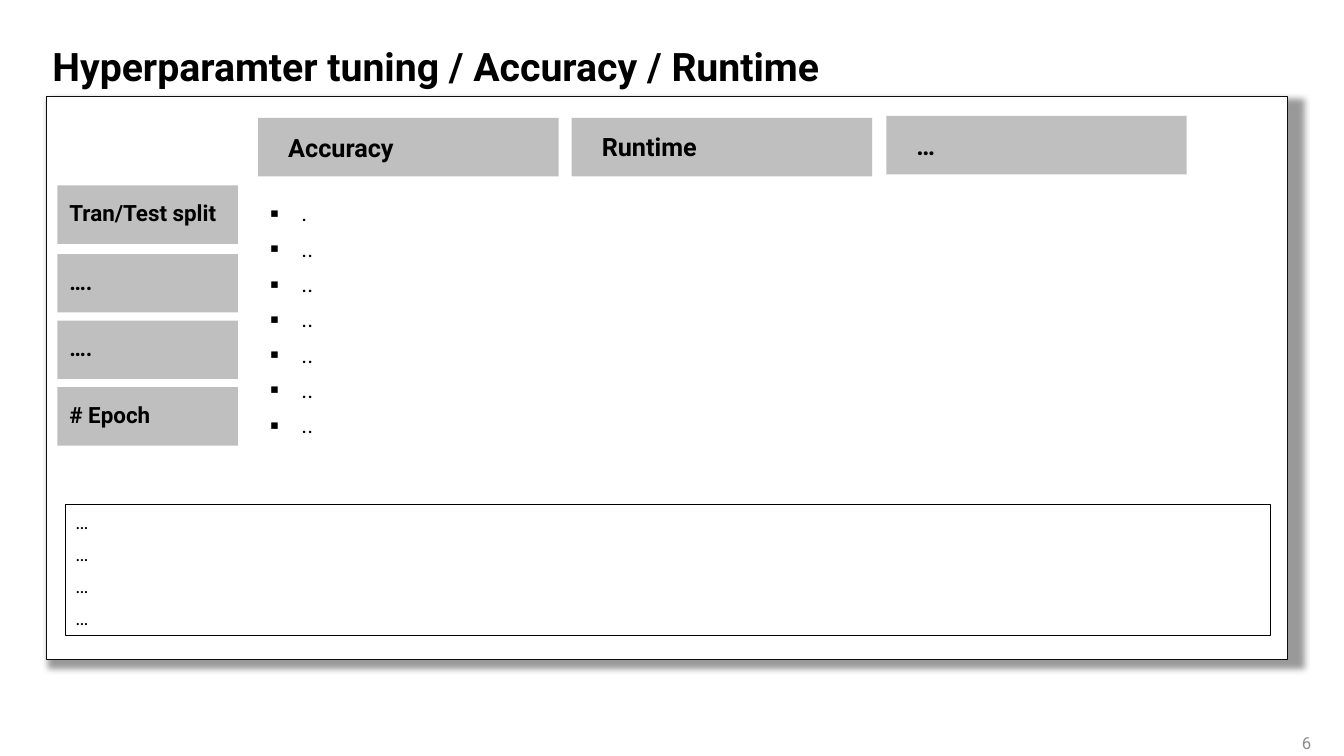
from dataclasses import dataclass

from lxml.etree import SubElement
from pptx import Presentation
from pptx.dml.color import RGBColor
from pptx.enum.shapes import MSO_SHAPE
from pptx.enum.text import MSO_ANCHOR, MSO_AUTO_SIZE, PP_ALIGN
from pptx.oxml import parse_xml
from pptx.oxml.ns import nsdecls, qn
from pptx.shapes.autoshape import Shape
from pptx.util import Emu, Pt

EMU_PER_PX = 9144  # 100 px to the inch
FONT = "Roboto"
BLACK = RGBColor(0x00, 0x00, 0x00)
WHITE = RGBColor(0xFF, 0xFF, 0xFF)
PANEL_EDGE = RGBColor(0x0D, 0x0D, 0x0D)
BAR_GRAY = RGBColor(0xBF, 0xBF, 0xBF)
NUMBER_GRAY = RGBColor(0x8C, 0x8C, 0x8C)


@dataclass(frozen=True)
class Box:
    left: int
    top: int
    width: int
    height: int

    def emu(self) -> tuple[Emu, ...]:
        sides = (self.left, self.top, self.width, self.height)
        return tuple(Emu(side * EMU_PER_PX) for side in sides)


@dataclass(frozen=True)
class Heading:
    text: str
    bar: Box
    label: Box
    size: int


def column(text: str, left: int, top: int, label_top: int, label_width: int) -> Heading:
    return Heading(text, Box(left, top, 298, 58), Box(left + 20, label_top, label_width, 40), 18)


def row(text: str, top: int) -> Heading:
    return Heading(text, Box(57, top, 179, 58), Box(59, top + 9, 176, 37), 16)


HEADINGS = [
    column("Accuracy", 256, 117, 126, 145),
    column("Runtime", 567, 117, 125, 128),
    column("…", 879, 115, 124, 128),
    row("Tran/Test split", 184),
    row("….", 252),
    row("….", 318),
    row("# Epoch", 384),
]


def place(shape: Shape, box: Box) -> None:
    shape.left, shape.top, shape.width, shape.height = box.emu()


def write(shape: Shape, text: str, size: int, color: RGBColor = BLACK, bold: bool = False,
          align: PP_ALIGN = PP_ALIGN.LEFT, anchor: MSO_ANCHOR = MSO_ANCHOR.TOP,
          space_after: int = 0) -> None:
    frame = shape.text_frame
    frame.text = text
    frame.word_wrap = True
    frame.auto_size = MSO_AUTO_SIZE.NONE
    frame.vertical_anchor = anchor
    for paragraph in frame.paragraphs:
        paragraph.alignment = align
        paragraph.space_before = Pt(0)
        paragraph.space_after = Pt(space_after)
        for run in paragraph.runs:
            run.font.name = FONT
            run.font.size = Pt(size)
            run.font.bold = bold
            run.font.color.rgb = color


def add_block(slide, kind: MSO_SHAPE, box: Box, fill: RGBColor | None,
              line: RGBColor | None = None, line_width: float = 1) -> Shape:
    shape = slide.shapes.add_shape(kind, *box.emu())
    shape.shadow.inherit = False
    if kind == MSO_SHAPE.RIGHT_ARROW:  # full shaft, no head
        shape.adjustments[0], shape.adjustments[1] = 1, 0
    if fill is None:
        shape.fill.background()
    else:
        shape.fill.solid()
        shape.fill.fore_color.rgb = fill
    if line is None:
        shape.line.fill.background()
    else:
        shape.line.color.rgb = line
        shape.line.width = Pt(line_width)
    return shape


def add_shadow(shape: Shape) -> None:
    effects = shape.element.spPr.find(qn("a:effectLst"))
    effects.append(parse_xml(
        f'<a:outerShdw {nsdecls("a")} blurRad="50800" dist="38100" dir="2700000" '
        'sx="101000" sy="101000" algn="tl" rotWithShape="0">'
        '<a:srgbClr val="000000"><a:alpha val="40000"/></a:srgbClr></a:outerShdw>'))


def add_bullets(shape: Shape, symbol: str, indent: int) -> None:
    for paragraph in shape.text_frame.paragraphs:
        properties = paragraph._p.get_or_add_pPr()
        properties.set("marL", str(indent * EMU_PER_PX))
        properties.set("indent", str(-indent * EMU_PER_PX))
        SubElement(properties, qn("a:buFont")).set("typeface", FONT)
        SubElement(properties, qn("a:buChar")).set("char", symbol)


def main() -> None:
    presentation = Presentation()
    presentation.slide_width = Emu(1333 * EMU_PER_PX)
    presentation.slide_height = Emu(750 * EMU_PER_PX)
    slide = presentation.slides.add_slide(presentation.slide_layouts[1])
    title, findings = slide.placeholders

    # Panel, behind everything else
    panel = add_block(slide, MSO_SHAPE.RIGHT_ARROW, Box(46, 96, 1231, 558), WHITE, PANEL_EDGE)
    add_shadow(panel)
    slide.shapes._spTree.insert(2, panel.element)

    # Title
    place(title, Box(42, 27, 1256, 83))
    write(title, "Hyperparamter tuning / Accuracy / Runtime", 28, bold=True,
          anchor=MSO_ANCHOR.MIDDLE)
    title.text_frame.paragraphs[0].line_spacing = 0.9

    # Column and row headings
    for heading in HEADINGS:
        add_block(slide, MSO_SHAPE.RIGHT_ARROW, heading.bar, BAR_GRAY)
        label = slide.shapes.add_textbox(*heading.label.emu())
        write(label, heading.text, heading.size, bold=True)

    # Bulleted findings
    place(findings, Box(258, 193, 538, 249))
    write(findings, "\n".join(["."] + [".."] * 6), 16, align=PP_ALIGN.JUSTIFY, space_after=6)
    add_bullets(findings, "▪", 31)

    # Remarks
    remarks = add_block(slide, MSO_SHAPE.RECTANGLE, Box(65, 501, 1195, 130), None, BLACK, 0.75)
    write(remarks, "\n".join(["…"] * 4), 14, align=PP_ALIGN.JUSTIFY, space_after=6)

    # Slide number
    number = slide.shapes.add_textbox(*Box(1261, 717, 70, 40).emu())
    write(number, "6", 12, NUMBER_GRAY, align=PP_ALIGN.CENTER, anchor=MSO_ANCHOR.MIDDLE)

    presentation.save("out.pptx")


if __name__ == "__main__":
    main()
